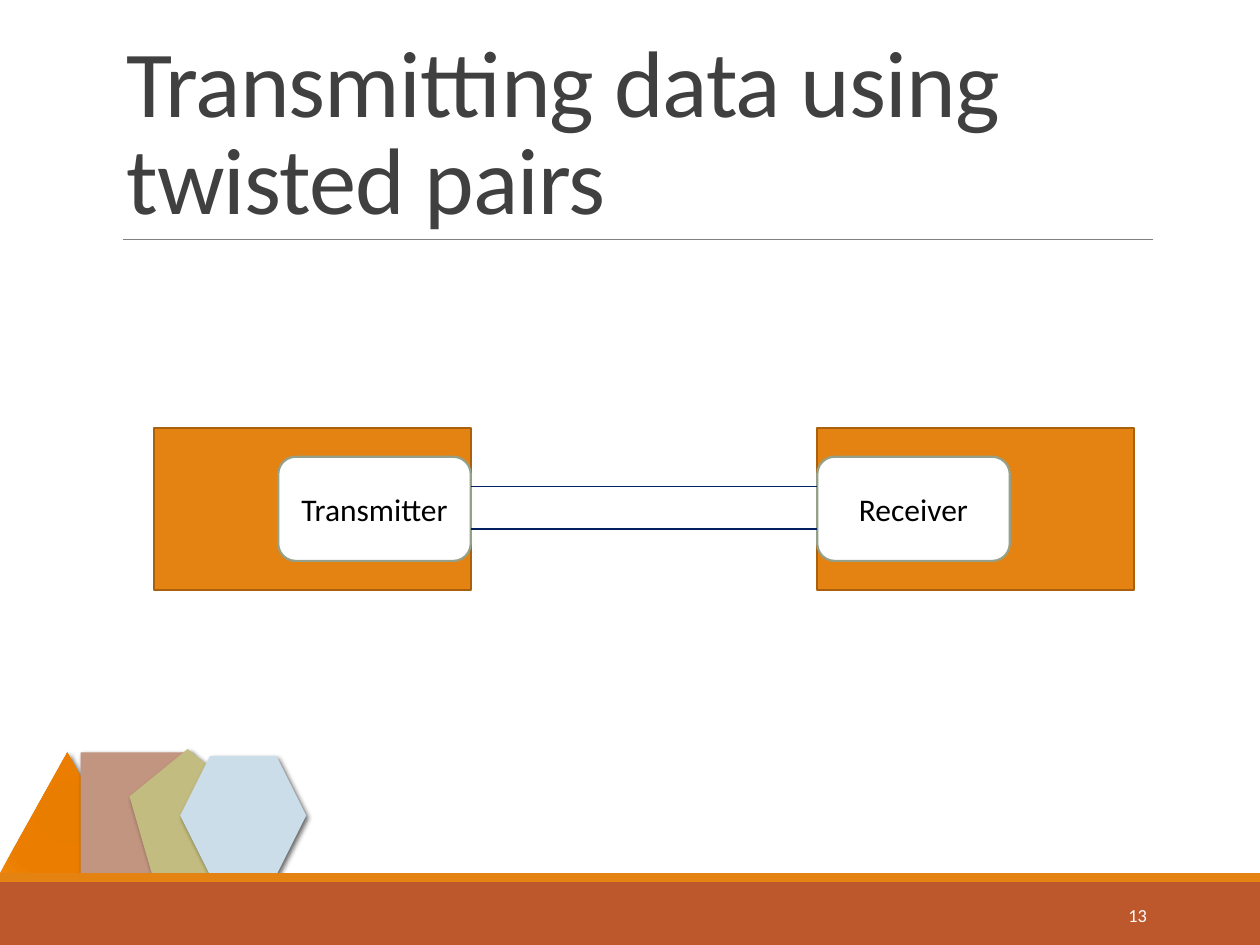
from lxml import etree
from pptx import Presentation
from pptx.dml.color import RGBColor
from pptx.enum import shapes, text
from pptx.oxml import parse_xml
from pptx.oxml.ns import nsdecls, qn
from pptx.util import Pt

KIND = shapes.MSO_SHAPE


def color(hex_string):
    return RGBColor.from_string(hex_string)


def add_block(kind, box, fill, outline=None):
    block = slide.shapes.add_shape(kind, *map(Pt, box))
    block.shadow.inherit = False
    block.fill.solid()
    block.fill.fore_color.rgb = color(fill)
    if outline:
        block.line.color.rgb = color(outline)
        block.line.width = Pt(1.25)
    else:
        block.line.fill.background()
    return block


prs = Presentation()
prs.slide_width, prs.slide_height = Pt(720), Pt(540)
slide = prs.slides.add_slide(prs.slide_layouts[5])

# Decorative shapes with soft shadows
decorations = [
    (KIND.ISOSCELES_TRIANGLE, (0, 430, 77, 69), "E87D00"),
    (KIND.RECTANGLE, (46, 430, 62.5, 69), "C29580"),
    (KIND.REGULAR_PENTAGON, (74, 428, 66.5, 71), "C2BC80"),
    (KIND.HEXAGON, (103, 432, 72, 68), "CCDDEA"),
]
for kind, box, fill in decorations:
    decoration = add_block(kind, box, fill)
    effects = decoration._element.spPr.find(qn("a:effectLst"))
    effects.append(parse_xml(
        f'<a:outerShdw {nsdecls("a")} blurRad="38100" dist="25400" dir="2700000" rotWithShape="0">'
        '<a:srgbClr val="000000"><a:alpha val="60000"/></a:srgbClr></a:outerShdw>'))
    if kind == KIND.ISOSCELES_TRIANGLE:
        stops = "".join(
            f'<a:gs pos="{position * 1000}"><a:srgbClr val="{shade}"/></a:gs>'
            for position, shade in [(0, "E57B00"), (34, "E87D00"), (70, "EB7E00"), (100, "EF8407")])
        solid = decoration._element.spPr.find(qn("a:solidFill"))
        solid.getparent().replace(solid, parse_xml(
            f'<a:gradFill {nsdecls("a")} rotWithShape="1"><a:gsLst>{stops}</a:gsLst><a:path path="circle">'
            '<a:fillToRect l="100000" t="100000" r="100000" b="100000"/></a:path></a:gradFill>'))

# Footer bands
add_block(KIND.RECTANGLE, (0, 504, 720, 36), "BD582C")
add_block(KIND.RECTANGLE, (0, 499, 720, 5), "E48312")

# Title
title = slide.shapes.title
title.left, title.top, title.width, title.height = Pt(65), Pt(22.5), Pt(594), Pt(114.5)
title.text_frame.text = "Transmitting data using twisted pairs"
title.text_frame.vertical_anchor = text.MSO_ANCHOR.BOTTOM
heading = title.text_frame.paragraphs[0]
heading.alignment = text.PP_ALIGN.LEFT
heading.line_spacing = 0.85
heading.font.name, heading.font.size = "Calibri", Pt(54)
heading.font.color.rgb = color("404040")
heading.runs[0].font._element.set("spc", "-50")

# Slide number
number = slide.shapes.add_textbox(Pt(584.5), Pt(508.5), Pt(78), Pt(28.5)).text_frame
number.word_wrap = True
number.vertical_anchor = text.MSO_ANCHOR.MIDDLE
number.text = "13"
page = number.paragraphs[0]
page.alignment = text.PP_ALIGN.RIGHT
page.font.name, page.font.size = "Calibri", Pt(10.5)
page.font.color.rgb = color("FFFFFF")

# Two stations, each holding its device on the inner side
wire_start, wire_end = 269, 467
station_width, device_width = 181, 110
stations = [
    ("Transmitter", wire_start - station_width, wire_start - device_width),
    ("Receiver", wire_end, wire_end),
]
for label, station_left, device_left in stations:
    add_block(KIND.RECTANGLE, (station_left, 244.5, station_width, 92.5), "E48312", "A9610D")
    device = add_block(KIND.ROUNDED_RECTANGLE, (device_left, 261, device_width, 59.5), "FFFFFF", "94A088")
    device.text_frame.text = label
    device.text_frame.vertical_anchor = text.MSO_ANCHOR.MIDDLE
    name = device.text_frame.paragraphs[0]
    name.alignment = text.PP_ALIGN.CENTER
    name.font.name, name.font.size = "Calibri", Pt(18)
    name.font.color.rgb = color("000000")

# Title rule and the pair of wires
lines = [
    (70.5, 659, 137, "808080", 0.5),
    (wire_start, wire_end, 278, "002060", 1),
    (wire_start, wire_end, 302.5, "002060", 1),
]
for start, end, y, stroke, width in lines:
    line = slide.shapes.add_connector(shapes.MSO_CONNECTOR.STRAIGHT, Pt(start), Pt(y), Pt(end), Pt(y))
    line.line.color.rgb = color(stroke)
    line.line.width = Pt(width)
    etree.SubElement(line._element.spPr, qn("a:effectLst"))

prs.save("out.pptx")
